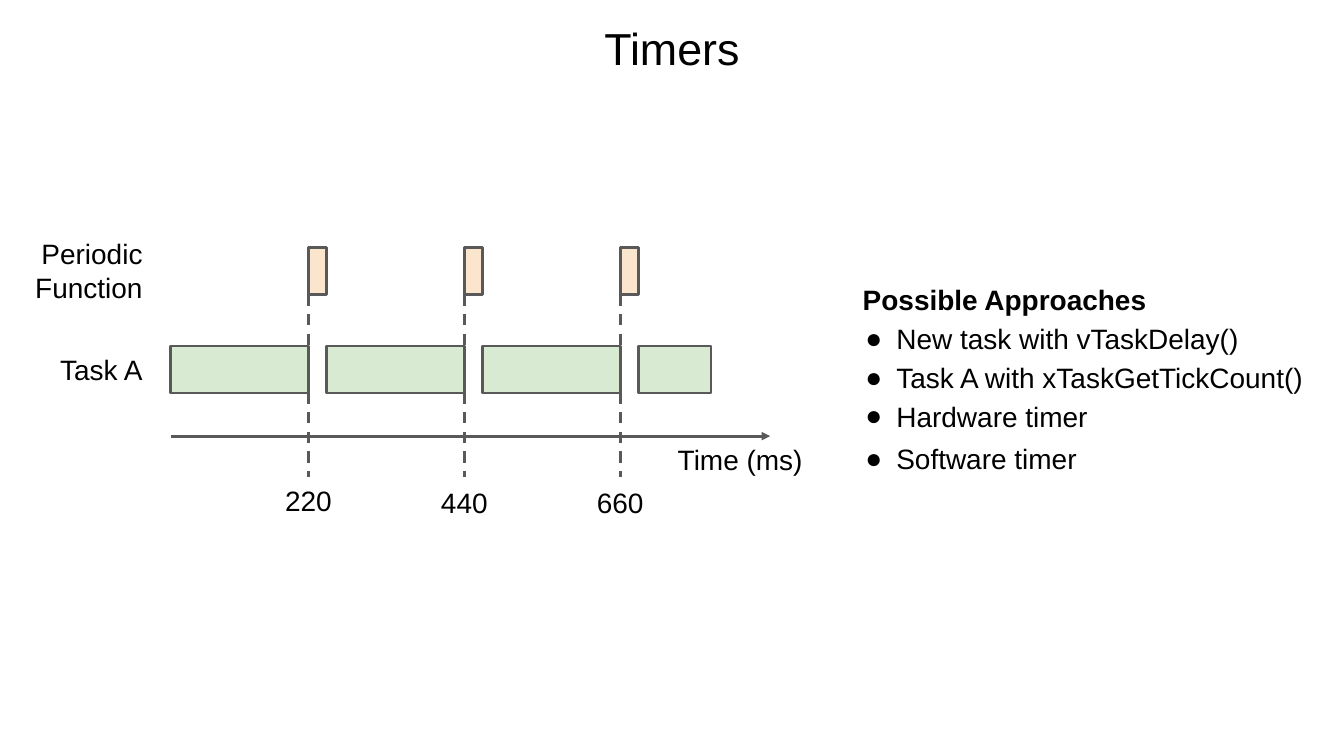
from lxml import etree
from pptx import Presentation
from pptx.dml.color import RGBColor
from pptx.enum.dml import MSO_LINE
from pptx.enum.shapes import MSO_CONNECTOR, MSO_SHAPE
from pptx.enum.text import MSO_ANCHOR, PP_ALIGN
from pptx.oxml.ns import qn
from pptx.util import Inches, Pt

RECT = MSO_SHAPE.RECTANGLE
STRAIGHT = MSO_CONNECTOR.STRAIGHT
DASH = MSO_LINE.DASH
LEFT, CENTER, RIGHT = PP_ALIGN.LEFT, PP_ALIGN.CENTER, PP_ALIGN.RIGHT
TOP, MIDDLE = MSO_ANCHOR.TOP, MSO_ANCHOR.MIDDLE

COLORS = {"ink": "000000", "line": "595959", "task": "D9EAD3", "function": "FCE5CD"}
FONT = "Arial"
SLIDE_W, SLIDE_H = Inches(20), Inches(11.25)
COLUMNS = 200
CELL = SLIDE_W / COLUMNS

PERIOD = 23.2
TASK_W, FUNCTION_W, BAR_H = 20.5, 2.7, 7
LAST_TASK_W = 10.8
TICKS = [("220", 34.2), ("440", 34.5), ("660", 34.5)]
APPROACHES = [
    ("New task with vTaskDelay()", 5.8),
    ("Task A with xTaskGetTickCount()", 11.6),
    ("Hardware timer", 17.4),
    ("Software timer", 23.7),
]


def grid(*cells):
    return [round(c * CELL) for c in cells]


def color(name):
    return RGBColor.from_string(COLORS[name])


def add_text(s, box, lines, align=LEFT, anchor=TOP, size=30, bold=False, spacing=None):
    tf = s.shapes.add_textbox(*grid(*box)).text_frame
    tf.word_wrap = True
    tf.vertical_anchor = anchor
    tf.margin_left = tf.margin_right = tf.margin_top = tf.margin_bottom = Inches(0.1)
    for i, line in enumerate(lines):
        p = tf.paragraphs[0] if i == 0 else tf.add_paragraph()
        p.alignment = align
        if spacing:
            p.line_spacing = spacing
        r = p.add_run()
        r.text = line
        r.font.name, r.font.size, r.font.bold = FONT, Pt(size), bold
        r.font.color.rgb = color("ink")
    return tf


def add_bullet(p):
    pPr = p._p.get_or_add_pPr()
    pPr.set("marL", str(Inches(0.5)))
    pPr.set("indent", str(Inches(-0.46)))
    bullet_color = etree.SubElement(pPr, qn("a:buClr"))
    etree.SubElement(bullet_color, qn("a:srgbClr"), val=COLORS["ink"])
    etree.SubElement(pPr, qn("a:buFont"), typeface=FONT)
    etree.SubElement(pPr, qn("a:buChar"), char="●")


def add_bar(s, box, fill):
    bar = s.shapes.add_shape(RECT, *grid(*box))
    bar.shadow.inherit = False
    bar.fill.solid()
    bar.fill.fore_color.rgb = color(fill)
    bar.line.color.rgb = color("line")
    bar.line.width = Pt(3)


def add_line(s, ends, dash=None, arrow=False):
    line = s.shapes.add_connector(STRAIGHT, *grid(*ends))
    line.line.color.rgb = color("line")
    line.line.width = Pt(3)
    if dash:
        line.line.dash_style = dash
    if arrow:
        etree.SubElement(line.line._get_or_add_ln(), qn("a:tailEnd"), type="triangle")
    etree.SubElement(line._element.spPr, qn("a:effectLst"))


def add_title(s, box):
    add_text(s, box, ["Timers"], CENTER, size=48)


def add_row_labels(s, box):
    x, y, w, h = box
    add_text(s, (x, y, w, 12.1), ["Periodic", "Function"], RIGHT)
    add_text(s, (x, y + 17.2, w, h - 17.2), ["Task A"], RIGHT)


def add_timeline(s, box):
    x, y, w, h = box
    task_y, axis_y = y + 14.7, y + 28.1
    add_line(s, (x, axis_y, x + w, axis_y), arrow=True)
    for i in range(len(TICKS) + 1):
        task_w = TASK_W if i < len(TICKS) else LAST_TASK_W
        add_bar(s, (x + i * PERIOD, task_y, task_w, BAR_H), "task")
    for i, (label, label_y) in enumerate(TICKS):
        tick_x = x + TASK_W + i * PERIOD
        add_bar(s, (tick_x, y, FUNCTION_W, BAR_H), "function")
        add_line(s, (tick_x, y + BAR_H, tick_x, y + h), dash=DASH)
        add_text(s, (tick_x - 7.15, y + label_y, 14.3, 7), [label], CENTER, MIDDLE)
    add_text(s, (x + w - 15.1, axis_y, 21.3, 7), ["Time (ms)"], CENTER, MIDDLE)


def add_approaches(s, box):
    x, y, w, h = box
    add_text(s, box, ["Possible Approaches"], bold=True, spacing=1.15)
    for text, offset in APPROACHES:
        tf = add_text(s, (x, y + offset, w, h), [text], spacing=1.15)
        add_bullet(tf.paragraphs[0])


def main():
    prs = Presentation()
    prs.slide_width, prs.slide_height = SLIDE_W, SLIDE_H
    s = prs.slides.add_slide(prs.slide_layouts[6])
    add_timeline(s, (25.4, 36.8, 89.2, 34.2))
    add_row_labels(s, (3.3, 34.2, 18.9, 24.3))
    add_title(s, (23.3, 2.1, 153.4, 10.1))
    add_approaches(s, (127.4, 40.3, 69.3, 7.1))
    prs.save("out.pptx")


if __name__ == "__main__":
    main()
